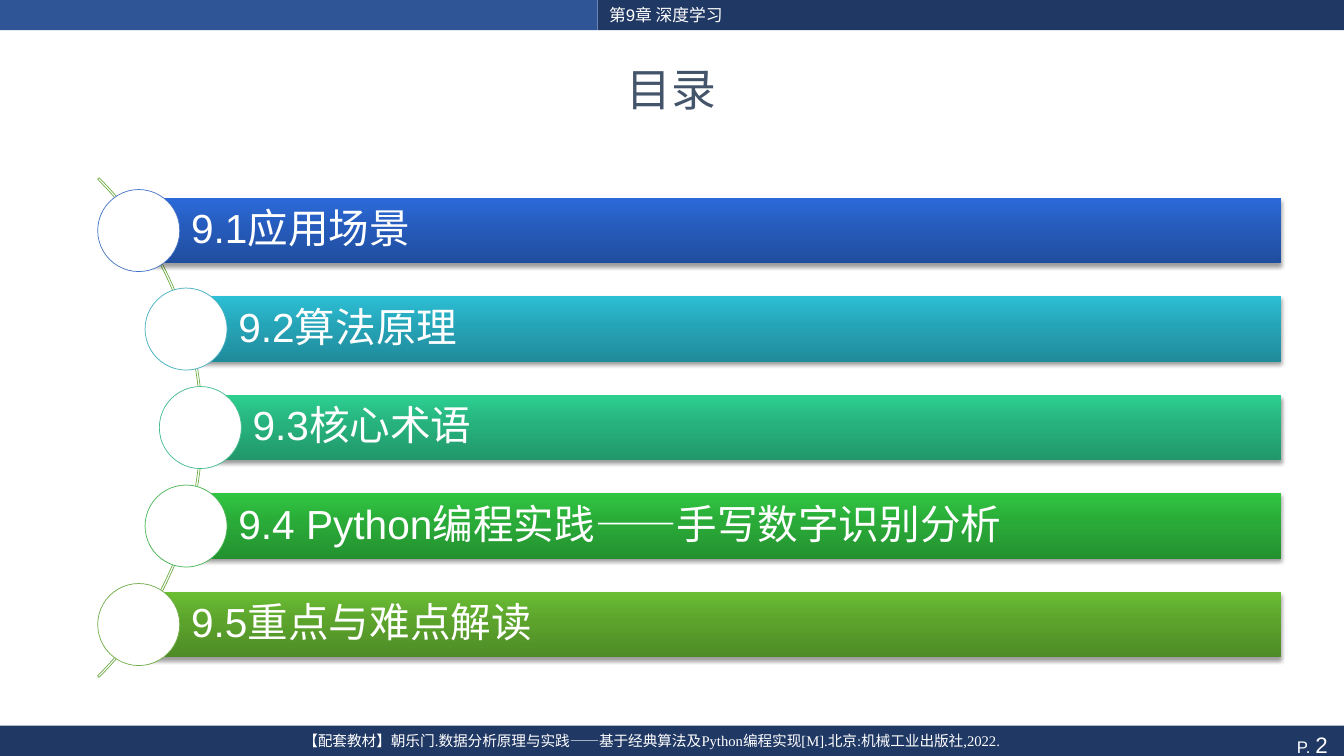
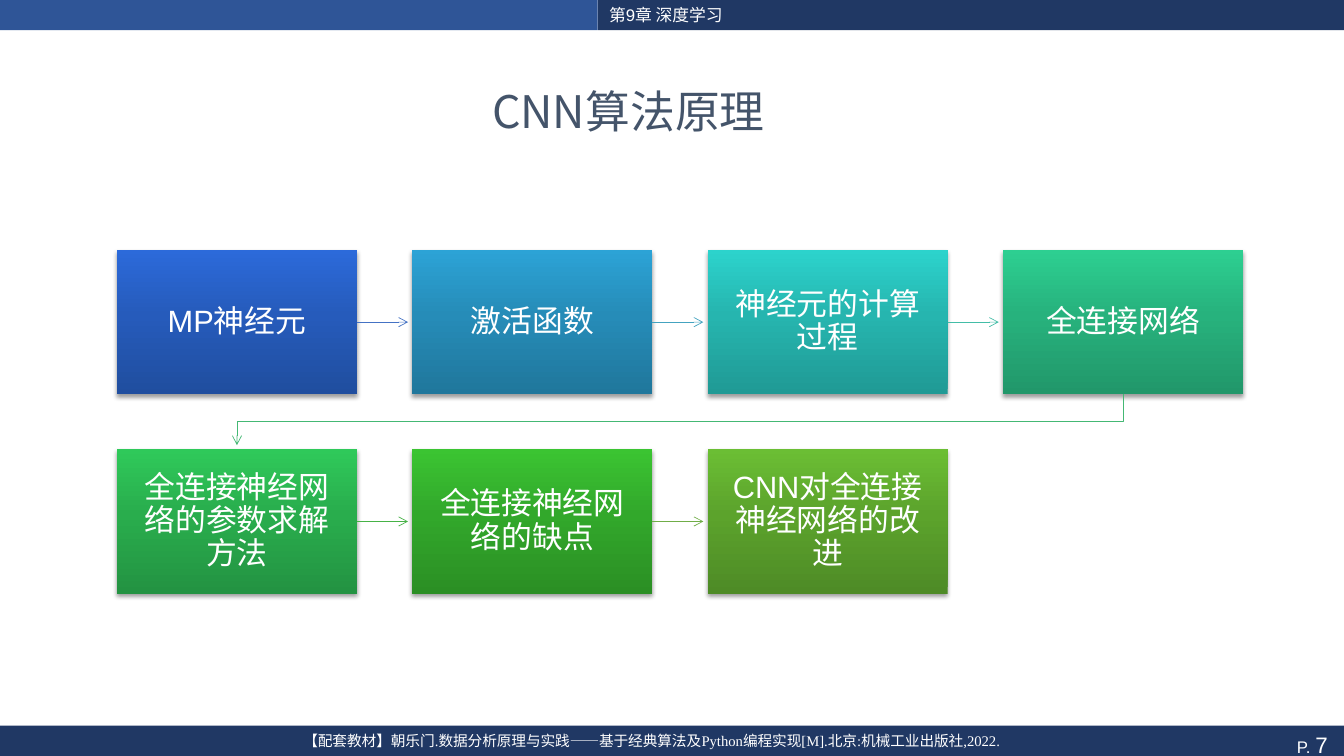
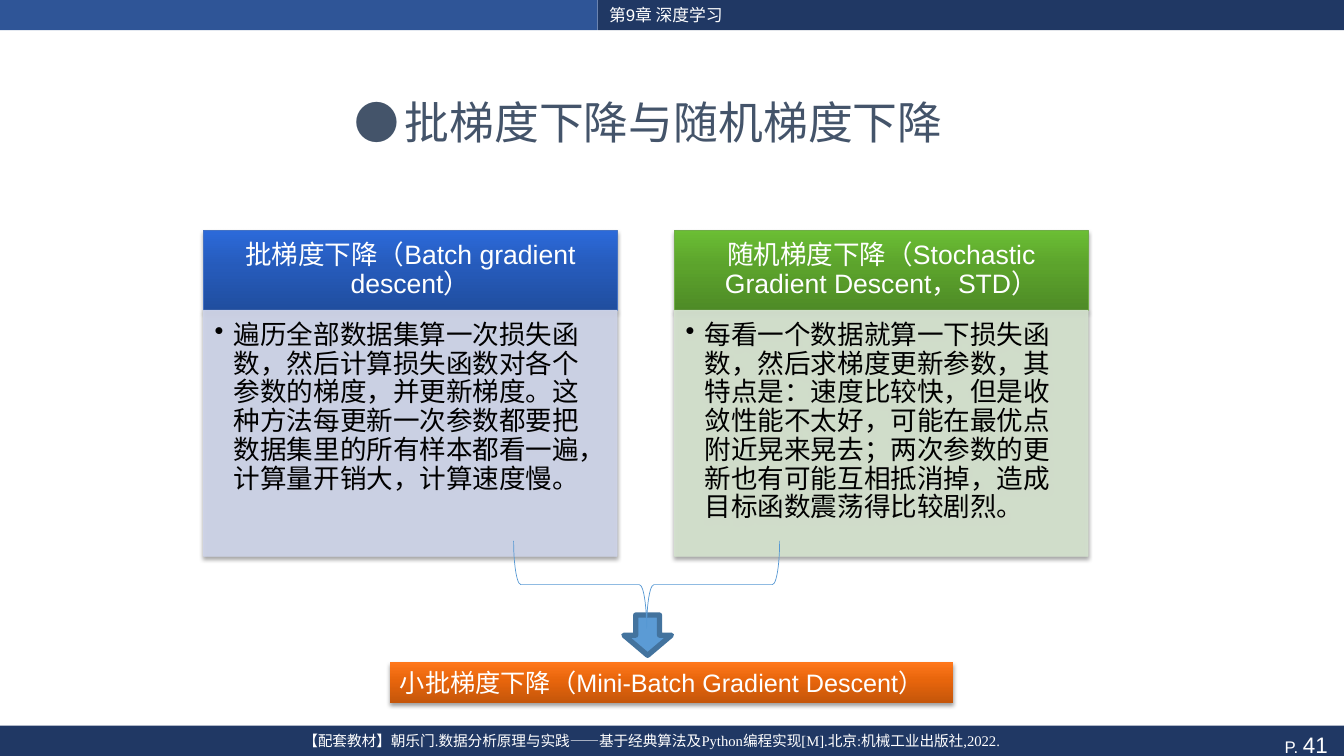
from dataclasses import dataclass

from lxml.etree import SubElement
from pptx import Presentation
from pptx.dml.color import RGBColor
from pptx.enum.shapes import MSO_CONNECTOR, MSO_SHAPE
from pptx.enum.text import MSO_ANCHOR, PP_ALIGN
from pptx.oxml.ns import qn
from pptx.util import Pt


@dataclass(frozen=True)
class Theme:
    """Colours, fonts and type sizes shared by the slides."""

    navy: str = "203864"
    band_blue: str = "2F5597"
    title_ink: str = "44546A"
    white: str = "FFFFFF"
    black: str = "000000"
    blue_line: str = "4472C4"
    green_line: str = "70AD47"
    arrow_fill: str = "5B9BD5"
    arrow_line: str = "43739E"
    brace_line: str = "5698D3"
    blue: tuple = ("204E9F", "265BBB", "2C6ADA")
    sky: tuple = ("20779C", "268CB8", "2CA3D6")
    cyan: tuple = ("208B9B", "26A4B7", "2CBFD5")
    teal: tuple = ("209A95", "26B5AF", "2CD3CC")
    jade: tuple = ("21976A", "27B27D", "2DCF91")
    emerald: tuple = ("239342", "29AD4D", "2FC95A")
    leaf: tuple = ("23912F", "2AAA38", "30C641")
    grass: tuple = ("2B8F24", "32A82B", "3BC432")
    olive: tuple = ("4E8B26", "5CA32C", "6BBE34")
    orange: tuple = ("C5560A", "E7650C", "FF781C")
    body_font: str = "Arial"
    title_font: str = "Noto Sans CJK SC"
    footer_font: str = "Times New Roman"
    title_size: float = 32
    agenda_size: float = 29
    step_size: float = 22
    panel_size: float = 19
    result_size: float = 18
    page_size: float = 16
    small_size: float = 12
    footer_size: float = 10.5
    hairline: float = 0.5


THEME = Theme()
WIDTH, HEIGHT = 960, 540
CHAPTER = "第9章 深度学习"
TEXTBOOK = "【配套教材】朝乐门.数据分析原理与实践——基于经典算法及Python编程实现[M].北京:机械工业出版社,2022."


def set_line(line, color, width=THEME.hairline):
    """Give a line its colour and width."""
    line.color.rgb = RGBColor.from_string(color)
    line.width = Pt(width)


def set_alpha(color_parent, percent):
    """Make the colour inside an element partly transparent."""
    color = next(color_parent.iter(qn("a:srgbClr")))
    SubElement(color, qn("a:alpha"), val=str(percent * 1000))


def add_gradient(shape, ramp):
    """Fill a shape from the bottom up with a three-colour ramp."""
    shape.fill.gradient()
    gradient = shape._element.spPr.find(qn("a:gradFill"))
    stops = gradient.find(qn("a:gsLst"))
    for stop in list(stops):
        stops.remove(stop)
    for position, color in zip((0, 55, 100), ramp):
        stop = SubElement(stops, qn("a:gs"), pos=str(position * 1000))
        SubElement(stop, qn("a:srgbClr"), val=color)
    gradient.find(qn("a:lin")).set("ang", "16200000")


def add_shadow(shape):
    """Add the soft shadow below a shape."""
    effects = shape._element.spPr.find(qn("a:effectLst"))
    shadow = SubElement(effects, qn("a:outerShdw"), blurRad=str(Pt(3.1)),
                        dist=str(Pt(2)), dir="5400000", rotWithShape="0")
    SubElement(shadow, qn("a:srgbClr"), val=THEME.black)
    set_alpha(shadow, 38)


def add_block(slide, box, fill=None, line=None, kind=MSO_SHAPE.RECTANGLE, shadow=False):
    """Draw a preset shape with a plain colour, a ramp or no fill."""
    shape = slide.shapes.add_shape(kind, *map(Pt, box))
    shape.shadow.inherit = False
    if fill is None:
        shape.fill.background()
    elif isinstance(fill, tuple):
        add_gradient(shape, fill)
    else:
        shape.fill.solid()
        shape.fill.fore_color.rgb = RGBColor.from_string(fill)
    if line:
        set_line(shape.line, line)
    else:
        shape.line.fill.background()
    if shadow:
        add_shadow(shape)
    return shape


def write(shape, text, size, color=THEME.white, font=THEME.body_font, align=PP_ALIGN.LEFT,
          anchor=MSO_ANCHOR.TOP, insets=(7.2, 3.6, 7.2, 3.6), spacing=None, bullet=None):
    """Put one styled paragraph into a shape and return it."""
    frame = shape.text_frame
    frame.word_wrap = True
    frame.vertical_anchor = anchor
    (frame.margin_left, frame.margin_top,
     frame.margin_right, frame.margin_bottom) = map(Pt, insets)
    paragraph = frame.paragraphs[0]
    paragraph.text = text
    paragraph.alignment = align
    if spacing:
        paragraph.line_spacing = spacing
    if bullet:
        properties = paragraph._p.get_or_add_pPr()
        properties.set("marL", str(Pt(13.7)))
        properties.set("indent", str(-Pt(13.7)))
        SubElement(properties, qn("a:buChar"), char=bullet)
    paragraph.font.size = Pt(size)
    paragraph.font.name = font
    paragraph.font.color.rgb = RGBColor.from_string(color)
    return paragraph


def add_label(slide, box, text, size, **style):
    """Add a text box holding one styled paragraph."""
    label = slide.shapes.add_textbox(*map(Pt, box))
    write(label, text, size, **style)


def add_page(deck, title, title_at, number):
    """Add a slide with its bands, chapter, footer, page number and title."""
    slide = deck.slides.add_slide(deck.slide_layouts[6])
    split, band_height, footer_top = 427, 21.5, 518.4
    add_block(slide, (0, 0, split, band_height), THEME.band_blue)
    chapter_band = add_block(slide, (split, 0, WIDTH - split, band_height), THEME.navy)
    write(chapter_band, CHAPTER, THEME.small_size, insets=(8, 3.6, 7.2, 0))
    footer_band = add_block(slide, (0, footer_top, WIDTH, 26.6), THEME.navy)
    page = write(footer_band, "P. ", THEME.small_size, align=PP_ALIGN.RIGHT,
                 insets=(7.2, 3.6, 11.6, 3.6))
    digits = page.add_run()
    digits.text = str(number)
    digits.font.size = Pt(THEME.page_size)
    add_label(slide, (43.2, footer_top + 0.7, 844.6, 25), TEXTBOOK, THEME.footer_size,
              font=THEME.footer_font, align=PP_ALIGN.CENTER)
    add_label(slide, (*title_at, 896.4, 64.8), title, THEME.title_size, color=THEME.title_ink,
              font=THEME.title_font, align=PP_ALIGN.CENTER, anchor=MSO_ANCHOR.MIDDLE)
    return slide


def add_agenda(slide, box, entries):
    """List the sections as bars whose discs follow an arc."""
    left, top, width, height = box
    disc, bar_height, arc_size = 58.6, 47, 504.7
    pitch = (height - disc) / (len(entries) - 1)
    arc = add_block(slide, (-360, top + (height - arc_size) / 2, arc_size, arc_size),
                    line=THEME.green_line, kind=MSO_SHAPE.BLOCK_ARC)
    for index, value in enumerate((189, 27, 0.003)):
        arc.adjustments[index] = value
    for row, (text, ramp, outline, indent) in enumerate(entries):
        disc_top = top + row * pitch
        bar_left = left + indent + disc / 2
        bar = add_block(slide, (bar_left, disc_top + (disc - bar_height) / 2,
                                left + width - bar_left, bar_height), ramp, shadow=True)
        write(bar, text, THEME.agenda_size, anchor=MSO_ANCHOR.MIDDLE,
              insets=(37.4, 5.8, 5.8, 5.8), spacing=0.9)
        add_block(slide, (left + indent, disc_top, disc, disc), THEME.white, outline,
                  MSO_SHAPE.OVAL)


def add_arrow(slide, points, color):
    """Draw an open-headed arrow, straight or bent, through the points."""
    places = [(Pt(x), Pt(y)) for x, y in points]
    if len(places) == 2:
        arrow = slide.shapes.add_connector(MSO_CONNECTOR.STRAIGHT, *places[0], *places[1])
        SubElement(arrow._element.spPr, qn("a:effectLst"))
    else:
        outline = slide.shapes.build_freeform(*places[0])
        outline.add_line_segments(places[1:], close=False)
        arrow = outline.convert_to_shape()
        arrow.shadow.inherit = False
        arrow.fill.background()
    set_line(arrow.line, color)
    SubElement(arrow.line._get_or_add_ln(), qn("a:tailEnd"), type="arrow")


def add_flow(slide, box, steps, columns=4):
    """Lay out the steps in rows and join each to the next."""
    left, top, width, height = box
    step_width, step_height, tip_gap = 171.5, 103, 3
    pitch_x = (width - step_width) / (columns - 1)
    pitch_y = height - step_height
    for index, (text, ramp, arrow_color) in enumerate(steps):
        row, column = divmod(index, columns)
        x, y = left + column * pitch_x, top + row * pitch_y
        step = add_block(slide, (x, y, step_width, step_height), ramp, shadow=True)
        write(step, text, THEME.step_size, align=PP_ALIGN.CENTER, anchor=MSO_ANCHOR.MIDDLE,
              insets=(12.2,) * 4, spacing=0.9)
        if not arrow_color:
            continue
        if column < columns - 1:
            middle = y + step_height / 2
            route = [(x + step_width, middle), (x + pitch_x - tip_gap, middle)]
        else:
            start, end = x + step_width / 2, left + step_width / 2
            turn = y + (step_height + pitch_y) / 2
            route = [(start, y + step_height), (start, turn), (end, turn),
                     (end, y + pitch_y - tip_gap)]
        add_arrow(slide, route, arrow_color)


def add_panel(slide, box, heading, detail, ramp, outline, tint):
    """Draw a method panel with a heading and a bulleted explanation."""
    left, top, width, height = box
    head_height = 57.2
    head = add_block(slide, (left, top, width, head_height), ramp, outline, shadow=True)
    write(head, heading, THEME.panel_size, align=PP_ALIGN.CENTER, anchor=MSO_ANCHOR.MIDDLE,
          insets=(10.8, 5.8, 10.8, 5.8), spacing=0.9)
    body = add_block(slide, (left, top + head_height, width, height - head_height),
                     tint, tint, shadow=True)
    properties = body._element.spPr
    set_alpha(properties.find(qn("a:solidFill")), 90)
    set_alpha(properties.find(qn("a:ln")), 90)
    write(body, detail, THEME.panel_size, THEME.black, insets=(8, 8, 10.8, 12.2),
          spacing=0.9, bullet="•")


def add_result(slide, box, text):
    """Draw the brace and arrow that lead down to the merged method."""
    left, top, width, height = box
    result_height = 28.8
    result = add_block(slide, (left, top + height - result_height, width, result_height),
                       THEME.orange, shadow=True)
    write(result, text, THEME.result_size)
    arrow = add_block(slide, (left + 167, top + 53, 34, 28.8), THEME.arrow_fill,
                      THEME.arrow_line, MSO_SHAPE.DOWN_ARROW)
    arrow.line.width = Pt(3.78)
    brace = add_block(slide, (left + 152, top - 63.7, 62.6, 190), line=THEME.brace_line,
                      kind=MSO_SHAPE.LEFT_BRACE)
    brace.rotation = 270


def main():
    """Build the three slides and save the deck."""
    deck = Presentation()
    deck.slide_width, deck.slide_height = Pt(WIDTH), Pt(HEIGHT)

    agenda = add_page(deck, "目录", (31.7, 31), 2)
    add_agenda(agenda, (69.8, 135.4, 845.3, 340), [
        ("9.1应用场景", THEME.blue, THEME.blue_line, 0),
        ("9.2算法原理", THEME.cyan, "43AFC0", 33.8),
        ("9.3核心术语", THEME.jade, "43BB8D", 44),
        ("9.4 Python编程实践——手写数字识别分析", THEME.leaf, "45B451", 33.8),
        ("9.5重点与难点解读", THEME.olive, THEME.green_line, 0),
    ])

    principles = add_page(deck, "CNN算法原理", (0.7, 46.8), 7)
    add_flow(principles, (83.5, 178.6, 804.4, 245.4), [
        ("MP神经元", THEME.blue, THEME.blue_line),
        ("激活函数", THEME.sky, "44A3C0"),
        ("神经元的计算过程", THEME.teal, "43BDA7"),
        ("全连接网络", THEME.jade, "44B874"),
        ("全连接神经网络的参数求解方法", THEME.emerald, "46B246"),
        ("全连接神经网络的缺点", THEME.grass, THEME.green_line),
        ("CNN对全连接神经网络的改进", THEME.olive, None),
    ])

    descent = add_page(deck, "●\t批梯度下降与随机梯度下降", (15.1, 54.7), 41)
    panels = [
        ("批梯度下降（Batch gradient descent）",
         "遍历全部数据集算一次损失函数，然后计算损失函数对各个参数的梯度，并更新梯度。"
         "这种方法每更新一次参数都要把数据集里的所有样本都看一遍，计算量开销大，计算速度慢。",
         THEME.blue, THEME.blue_line, "CFD5EA"),
        ("随机梯度下降（Stochastic Gradient Descent，STD）",
         "每看一个数据就算一下损失函数，然后求梯度更新参数，其特点是：速度比较快，"
         "但是收敛性能不太好，可能在最优点附近晃来晃去；两次参数的更新也有可能互相抵消掉，"
         "造成目标函数震荡得比较剧烈。",
         THEME.olive, THEME.green_line, "D5E3CF"),
    ]
    for index, panel in enumerate(panels):
        add_panel(descent, (145.4 + index * 336.4, 164.4, 295.4, 233), *panel)
    add_result(descent, (278.6, 386.3, 402.5, 115.6),
               "小批梯度下降（Mini-Batch Gradient Descent）")

    deck.save("out.pptx")


if __name__ == "__main__":
    main()
